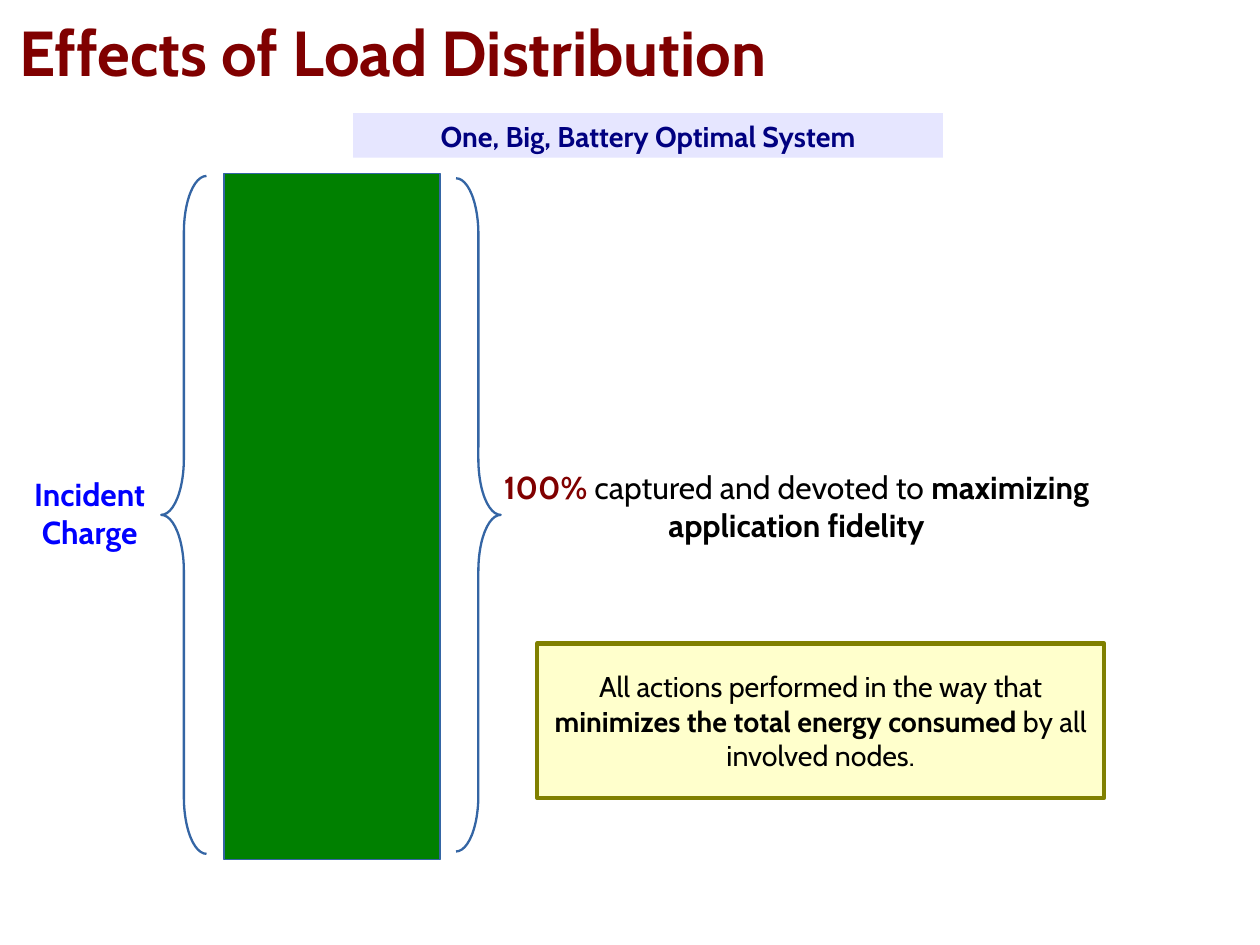
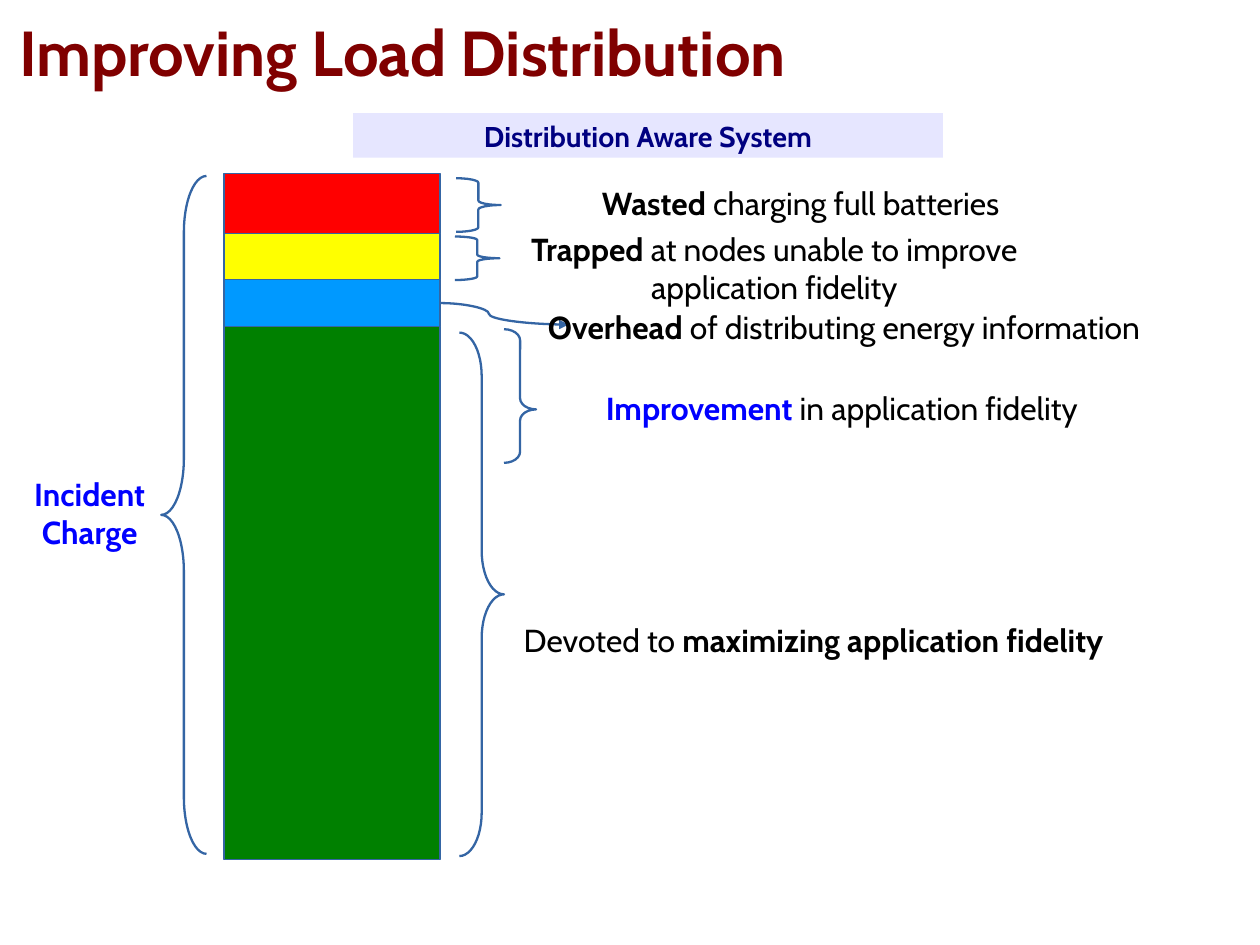
from lxml import etree
from pptx import Presentation
from pptx.dml.color import RGBColor
from pptx.enum.shapes import MSO_CONNECTOR, MSO_SHAPE
from pptx.enum.text import MSO_ANCHOR, PP_ALIGN
from pptx.oxml.ns import qn
from pptx.util import Pt

FONT = "Cabin"
MAROON = RGBColor(0x80, 0x00, 0x00)
NAVY = RGBColor(0x00, 0x00, 0x80)
BLUE = RGBColor(0x00, 0x00, 0xFF)
BLACK = RGBColor(0x00, 0x00, 0x00)
STEEL = RGBColor(0x34, 0x65, 0xA4)
GREEN = RGBColor(0x00, 0x80, 0x00)
RED = RGBColor(0xFF, 0x00, 0x00)
YELLOW = RGBColor(0xFF, 0xFF, 0x00)
SKY = RGBColor(0x00, 0x99, 0xFF)
LAVENDER = RGBColor(0xE6, 0xE6, 0xFF)
CREAM = RGBColor(0xFF, 0xFF, 0xCC)
OLIVE = RGBColor(0x80, 0x80, 0x00)

TITLE = (12.2, 8.6, 677.5, 46.8)
BAND = (222.5, 71.3, 371.5, 28.1)
BAR = (141.1, 109.4, 136.1, 432)
LINE_WIDTH = 1.45


def place(box):
    return [Pt(v) for v in box]


def fill_text(shape, paragraphs, size, align=PP_ALIGN.CENTER,
              anchor=MSO_ANCHOR.TOP, margins=(7.2, 3.6)):
    tf = shape.text_frame
    tf.word_wrap = True
    tf.vertical_anchor = anchor
    tf.margin_left = tf.margin_right = Pt(margins[0])
    tf.margin_top = tf.margin_bottom = Pt(margins[1])
    for i, runs in enumerate(paragraphs):
        p = tf.add_paragraph() if i else tf.paragraphs[0]
        p.alignment = align
        for text, color, bold in runs:
            r = p.add_run()
            r.text = text
            r.font.name = FONT
            r.font.size = Pt(size)
            r.font.bold = bold
            r.font.color.rgb = color


def add_text(s, box, paragraphs, size=20, **style):
    sp = s.shapes.add_textbox(*place(box))
    fill_text(sp, paragraphs, size, **style)
    return sp


def add_rect(s, box, color, line=None, width=0):
    sp = s.shapes.add_shape(MSO_SHAPE.RECTANGLE, *place(box))
    sp.shadow.inherit = False
    sp.fill.solid()
    sp.fill.fore_color.rgb = color
    if line is None:
        sp.line.fill.background()
    else:
        sp.line.color.rgb = line
        sp.line.width = Pt(width)
    return sp


def add_brace(s, box, kind=MSO_SHAPE.RIGHT_BRACE, tip=0.5):
    sp = s.shapes.add_shape(kind, *place(box))
    sp.shadow.inherit = False
    sp.fill.background()
    sp.line.color.rgb = STEEL
    sp.line.width = Pt(LINE_WIDTH)
    sp.adjustments[0] = box[3] / box[2] / 12
    sp.adjustments[1] = tip


def add_bar(s, box, segments):
    left, top, width, _ = box
    bars = []
    for height, color in segments:
        bars.append(add_rect(s, (left, top, width, height), color, STEEL))
        top += height
    return bars


def add_curved_arrow(s, source, end, bend):
    x = source.left + source.width
    y = source.top + source.height // 2
    c = s.shapes.add_connector(MSO_CONNECTOR.CURVE, x, y, Pt(end[0]), Pt(end[1]))
    c.begin_connect(source, 3)
    c.line.color.rgb = STEEL
    c.line.width = Pt(LINE_WIDTH)
    spPr = c._element.spPr
    guides = spPr.find(qn("a:prstGeom")).get_or_add_avLst()
    etree.SubElement(guides, qn("a:gd"), name="adj1", fmla=f"val {round(bend * 100000)}")
    etree.SubElement(spPr.find(qn("a:ln")), qn("a:tailEnd"), type="triangle")
    etree.SubElement(spPr, qn("a:effectLst"))


def charge_slide(prs, title, system, segments):
    s = prs.slides.add_slide(prs.slide_layouts[6])
    add_text(s, TITLE, [[(title, MAROON, True)]], 40, align=PP_ALIGN.LEFT,
             anchor=MSO_ANCHOR.MIDDLE, margins=(0, 0))
    fill_text(add_rect(s, BAND, LAVENDER), [[(system, NAVY, True)]], 18)
    bars = add_bar(s, BAR, segments)
    left, top, _, height = BAR
    add_brace(s, (left - 39.5, top + 1.5, 28.5, height - 5), MSO_SHAPE.LEFT_BRACE)
    add_text(s, (0, top + 185.8, 113, 54),
             [[("Incident", BLUE, True)], [("Charge", BLUE, True)]])
    return s, bars


def optimal_slide(prs):
    s, _ = charge_slide(prs, "Effects of Load Distribution",
                        "One, Big, Battery Optimal System", [(BAR[3], GREEN)])
    add_brace(s, (287.3, 112.3, 28.1, 424.1))
    add_text(s, (307.4, 290.9, 388.8, 56.9),
             [[("100% ", MAROON, True), ("captured and devoted to", BLACK, False),
               (" maximizing application fidelity", BLACK, True)]])
    note = add_rect(s, (338.4, 405.4, 357.1, 97.2), CREAM, OLIVE, 2.89)
    fill_text(note, [[("All actions performed in the way that ", BLACK, False),
                      ("minimizes the total energy consumed", BLACK, True),
                      (" by all involved nodes.", BLACK, False)]],
              18, anchor=MSO_ANCHOR.MIDDLE, margins=(8.6, 5))


def aware_slide(prs):
    segments = [(37.8, RED), (29, YELLOW), (29.5, SKY), (335.7, GREEN)]
    s, bars = charge_slide(prs, "Improving Load Distribution",
                           "Distribution Aware System", segments)
    for box, tip in [((287.3, 112.3, 28.1, 33.8), 0.5),
                     ((286.6, 149, 28.1, 27.4), 0.5),
                     ((289.4, 209.5, 28.1, 329.8), 0.5),
                     ((317.5, 207.4, 20.2, 84.2), 0.6)]:
        add_brace(s, box, tip=tip)
    add_curved_arrow(s, bars[2], (358.2, 204.5), 0.38)
    labels = [
        ((308.9, 112.3, 391, 30.2),
         [("Wasted ", BLACK, True), ("charging full batteries", BLACK, False)]),
        ((313.2, 141.1, 349.2, 54),
         [("Trapped ", BLACK, True),
          ("at nodes unable to improve application fidelity", BLACK, False)]),
        ((336.2, 190.1, 391, 54),
         [("Overhead ", BLACK, True),
          ("of distributing energy information", BLACK, False)]),
        ((334.8, 241.2, 391, 30.2),
         [("Improvement", BLUE, True), (" in application fidelity", BLACK, False)]),
        ((318.2, 387.4, 388.8, 56.9),
         [("Devoted to", BLACK, False),
          (" maximizing application fidelity", BLACK, True)]),
    ]
    for box, runs in labels:
        add_text(s, box, [runs])


def main():
    prs = Presentation()
    prs.slide_width = Pt(793.7)
    prs.slide_height = Pt(595.3)
    optimal_slide(prs)
    aware_slide(prs)
    prs.save("out.pptx")


if __name__ == "__main__":
    main()
